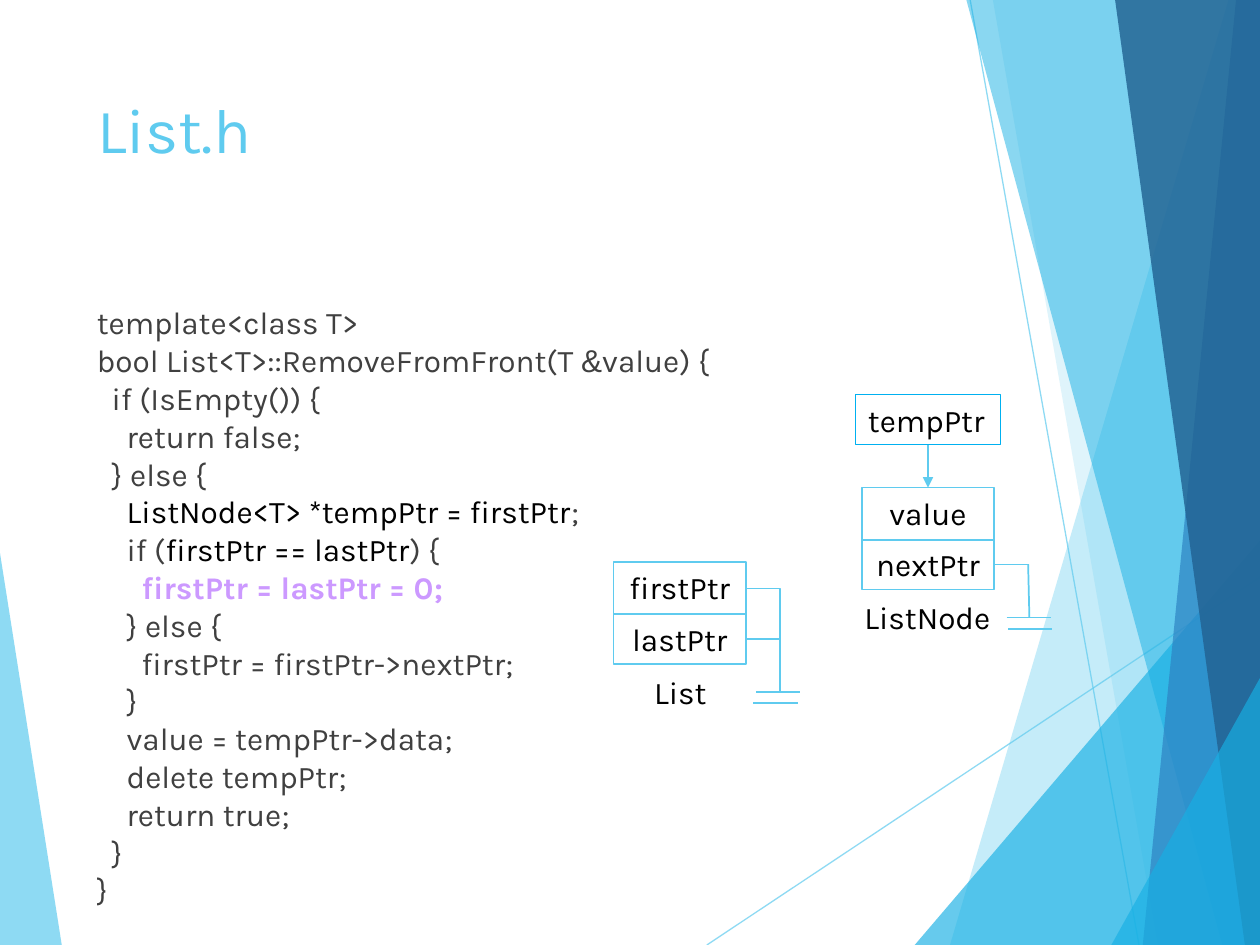
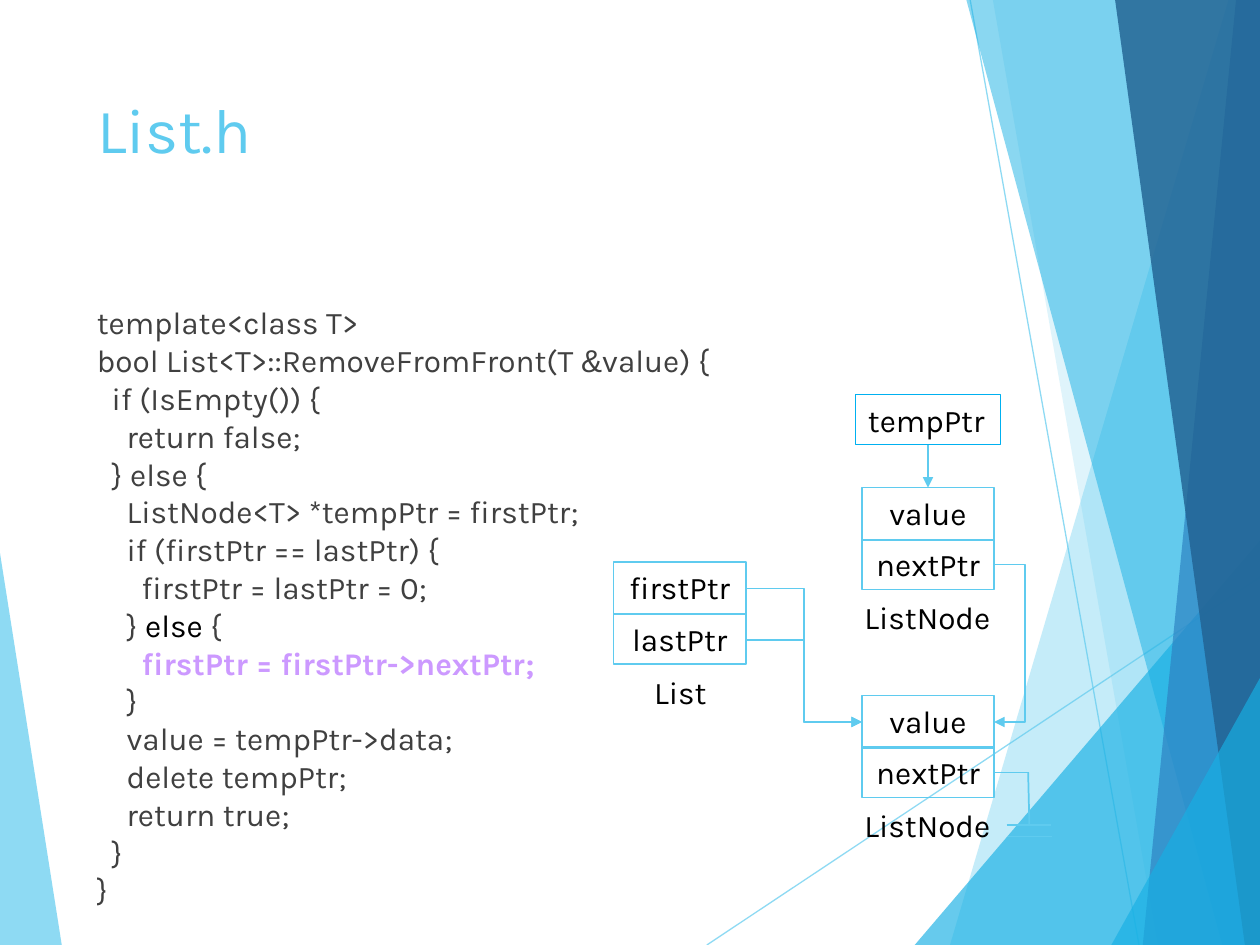
from lxml.etree import SubElement
from pptx import Presentation
from pptx.dml.color import RGBColor
from pptx.enum.shapes import MSO_CONNECTOR as LINK, MSO_SHAPE
from pptx.enum.text import MSO_ANCHOR, PP_ALIGN
from pptx.oxml.ns import qn
from pptx.util import Inches, Pt

COLORS = {
    "sky": "5FCBEF", "cyan": "17B0E4", "blue": "2E83C3", "navy": "226292",
    "border": "00B0F0", "code": "404040", "black": "000000", "violet": "CC99FF",
}
RUN_FORMATS = {
    "title": {"size": Pt(36), "name": "Karla", "color": "sky"},
    "label": {"size": Pt(18), "name": "Karla", "color": "black"},
    "code": {"size": Pt(18), "name": "Karla", "color": "code"},
    "ampersand": {"size": Pt(18), "name": "Arial", "color": "code"},
    "traced": {"size": Pt(18), "name": "Karla", "color": "black"},
    "current": {"size": Pt(18), "name": "Karla", "color": "violet", "bold": True},
}
FACETS = [
    ("sky", 70, [(0, 4.39), (0.49, 7.5), (0, 7.5)]),
    ("sky", 36, [(9.75, 0), (7.54, 7.5), (10, 7.5), (10, 0)]),
    ("sky", 20, [(7.88, 0), (9.19, 7.5), (10, 7.5), (10, 0)]),
    ("cyan", 66, [(7.26, 7.5), (10, 4.29), (10, 7.5)]),
    ("cyan", 50, [(7.67, 0), (9.7, 7.5), (10, 7.5), (10, 0)]),
    ("blue", 70, [(9.81, 0), (9.07, 7.5), (10, 7.5), (10, 0)]),
    ("navy", 82, [(8.85, 0), (9.88, 7.5), (10, 7.5), (10, 0)]),
    ("cyan", 66, [(8.82, 7.5), (10, 5.38), (10, 7.5)]),
]
RAYS = [((5.61, 7.5), (10, 4.58)), ((7.7, 0), (9.04, 7.5))]

CODE = """template<class T>
bool List<T>::RemoveFromFront(T &value) {
  if (IsEmpty()) {
    return false;
  } else {
    ListNode<T> *tempPtr = firstPtr;
    if (firstPtr == lastPtr) {
      firstPtr = lastPtr = 0;
    } else {
      firstPtr = firstPtr->nextPtr;
    }
    value = tempPtr->data;
    delete tempPtr;
    return true;
  }
}""".split("\n")

STEPS = [
    {
        "highlights": {
            5: ("ListNode<T> *tempPtr = firstPtr", "traced"),
            6: ("firstPtr == lastPtr", "traced"),
            7: ("firstPtr = lastPtr = 0;", "current"),
        },
        "node_tops": [3.87],
    },
    {
        "highlights": {
            8: ("else ", "traced"),
            9: ("firstPtr = firstPtr->nextPtr;", "current"),
        },
        "node_tops": [3.87, 5.52],
    },
]


def write_run(paragraph, text, style):
    run = paragraph.add_run()
    run.text = text
    for attribute, value in RUN_FORMATS[style].items():
        if attribute == "color":
            run.font.color.rgb = RGBColor.from_string(COLORS[value])
        else:
            setattr(run.font, attribute, value)


def add_link(slide, start, end, kind=LINK.STRAIGHT, width=1, opacity=100, arrow=False):
    link = slide.shapes.add_connector(kind, *[Inches(v) for v in (*start, *end)])
    link.line.color.rgb = RGBColor.from_string(COLORS["sky"])
    link.line.width = Pt(width)
    properties = link._element.spPr
    if opacity < 100:
        color = properties.find(".//" + qn("a:srgbClr"))
        SubElement(color, qn("a:alpha"), val=str(opacity * 1000))
    if arrow:
        SubElement(link.line._get_or_add_ln(), qn("a:tailEnd"), type="triangle")
    SubElement(properties, qn("a:effectLst"))
    return link


deck = Presentation()
deck.slide_width, deck.slide_height = Inches(10), Inches(7.5)

for step in STEPS:
    slide = deck.slides.add_slide(deck.slide_layouts[5])

    for start, end in RAYS:
        add_link(slide, start, end, width=0.75, opacity=70)
    for color, opacity, corners in FACETS:
        points = [(Inches(x), Inches(y)) for x, y in corners]
        outline = slide.shapes.build_freeform(*points[0])
        outline.add_line_segments(points[1:])
        facet = outline.convert_to_shape()
        facet.shadow.inherit = False
        facet.line.fill.background()
        facet.fill.solid()
        facet.fill.fore_color.rgb = RGBColor.from_string(COLORS[color])
        tint = facet._element.spPr.find(".//" + qn("a:srgbClr"))
        SubElement(tint, qn("a:alpha"), val=str(opacity * 1000))

    title = slide.shapes.title
    title.left, title.top = Inches(0.67), Inches(0.67)
    title.width, title.height = Inches(6.94), Inches(1.44)
    title.text_frame.vertical_anchor = MSO_ANCHOR.TOP
    heading = title.text_frame.paragraphs[0]
    heading.alignment = PP_ALIGN.LEFT
    write_run(heading, "List.h", "title")

    listing = slide.shapes.add_textbox(
        Inches(0.67), Inches(2.36), Inches(6.94), Inches(4.24)).text_frame
    listing.word_wrap = True
    highlights = {1: ("&", "ampersand"), **step["highlights"]}
    for number, line in enumerate(CODE):
        row = listing.add_paragraph() if number else listing.paragraphs[0]
        row.line_spacing = Pt(21.6)
        phrase, style = highlights.get(number, (line, "code"))
        before, _, after = line.partition(phrase)
        for text, look in ((before, "code"), (phrase, style), (after, "code")):
            if text:
                write_run(row, text, look)

    labels = [
        ("tempPtr", 6.79, 3.13, 1.15, 0.4, "border"),
        ("firstPtr", 4.87, 4.46, 1.05, 0.42, "sky"),
        ("lastPtr", 4.87, 4.87, 1.05, 0.4, "sky"),
        ("List", 4.79, 5.29, 1.22, 0.4, None),
    ]
    for top in step["node_tops"]:
        labels += [
            ("value", 6.84, top, 1.05, 0.42, "sky"),
            ("nextPtr", 6.84, top + 0.41, 1.05, 0.4, "sky"),
            ("ListNode", 6.75, top + 0.83, 1.22, 0.4, None),
        ]
    cells = {}
    for text, left, top, width, height, border in labels:
        area = [Inches(v) for v in (left, top, width, height)]
        if border:
            cell = slide.shapes.add_shape(MSO_SHAPE.RECTANGLE, *area)
            cell.shadow.inherit = False
            cell.fill.background()
            cell.line.color.rgb = RGBColor.from_string(COLORS[border])
            cell.line.width = Pt(0.75)
        else:
            cell = slide.shapes.add_textbox(*area)
        cell.text_frame.word_wrap = True
        cell.text_frame.vertical_anchor = MSO_ANCHOR.TOP
        caption = cell.text_frame.paragraphs[0]
        caption.alignment = PP_ALIGN.LEFT if text == "tempPtr" else PP_ALIGN.CENTER
        write_run(caption, text, "label")
        cells.setdefault(text, []).append(cell)

    temp_arrow = add_link(slide, (7.36, 3.53), (7.36, 3.87), arrow=True)
    temp_arrow.begin_connect(cells["tempPtr"][0], 2)
    temp_arrow.end_connect(cells["value"][0], 0)

    last_top = step["node_tops"][-1]
    null_stub = add_link(slide, (7.89, last_top + 0.61), (8.17, last_top + 0.61))
    null_stub.begin_connect(cells["nextPtr"][-1], 3)
    add_link(slide, (8.16, last_top + 0.61), (8.17, last_top + 1.03))
    for left, drop in ((7.99, 1.03), (8, 1.12)):
        add_link(slide, (left, last_top + drop), (left + 0.35, last_top + drop))

    if len(step["node_tops"]) == 1:
        first_null = add_link(slide, (5.92, 4.67), (6.19, 5.49), LINK.ELBOW)
        first_null._element.spPr.prstGeom.set("prst", "bentConnector2")
        last_null = add_link(slide, (5.92, 5.07), (6.19, 5.07))
        last_null.begin_connect(cells["lastPtr"][0], 3)
        for left, top in ((6, 5.49), (5.98, 5.58)):
            add_link(slide, (left, top), (left + 0.35, top))
    else:
        for pointer_y in (4.67, 5.08):
            add_link(slide, (5.92, pointer_y), (6.84, 5.73), LINK.ELBOW, arrow=True)
        next_arrow = add_link(slide, (7.88, 4.48), (7.89, 5.73), LINK.ELBOW, arrow=True)
        bend = next_arrow._element.spPr.prstGeom.get_or_add_avLst()
        SubElement(bend, qn("a:gd"), name="adj1", fmla="val 2600000")

deck.save("out.pptx")
